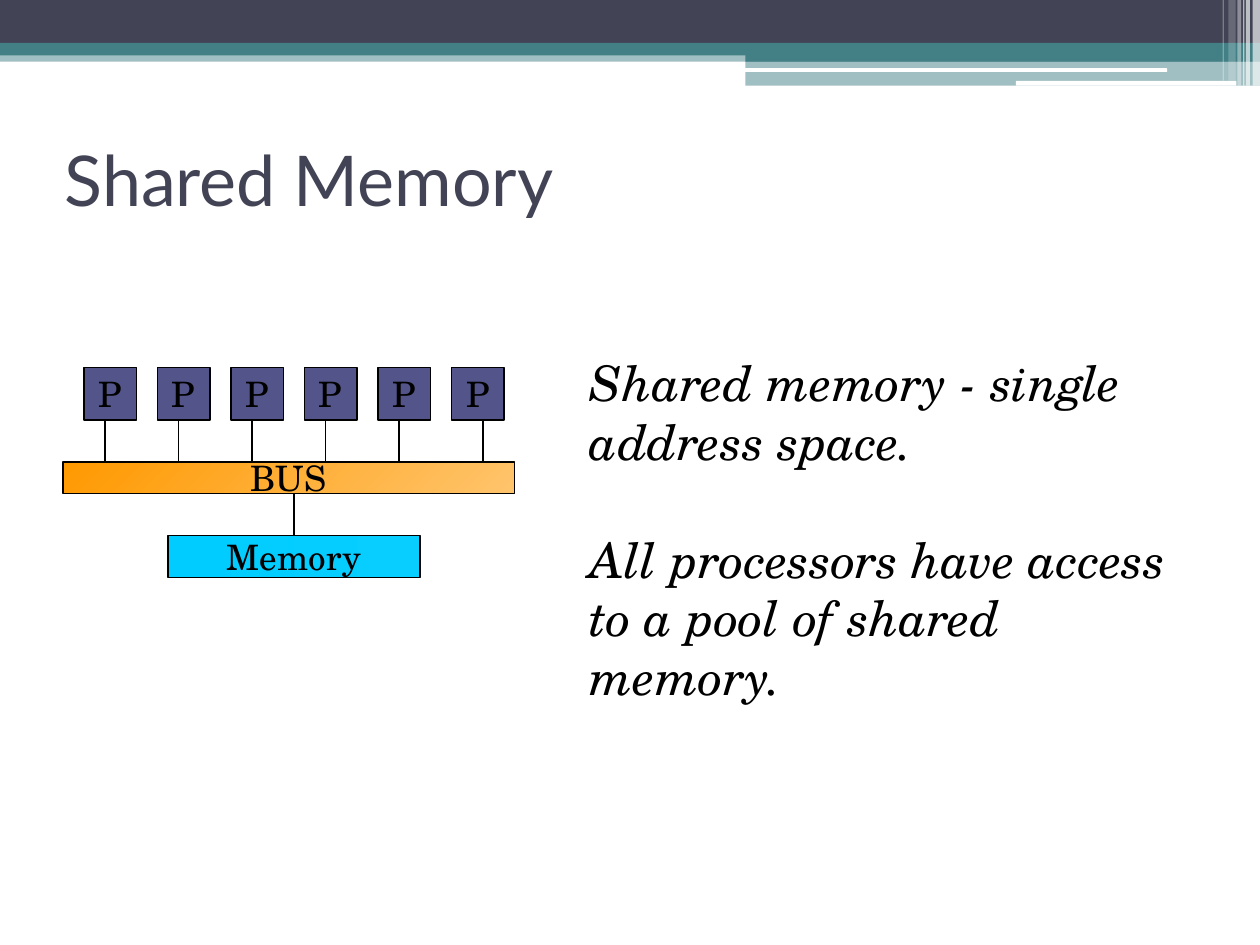
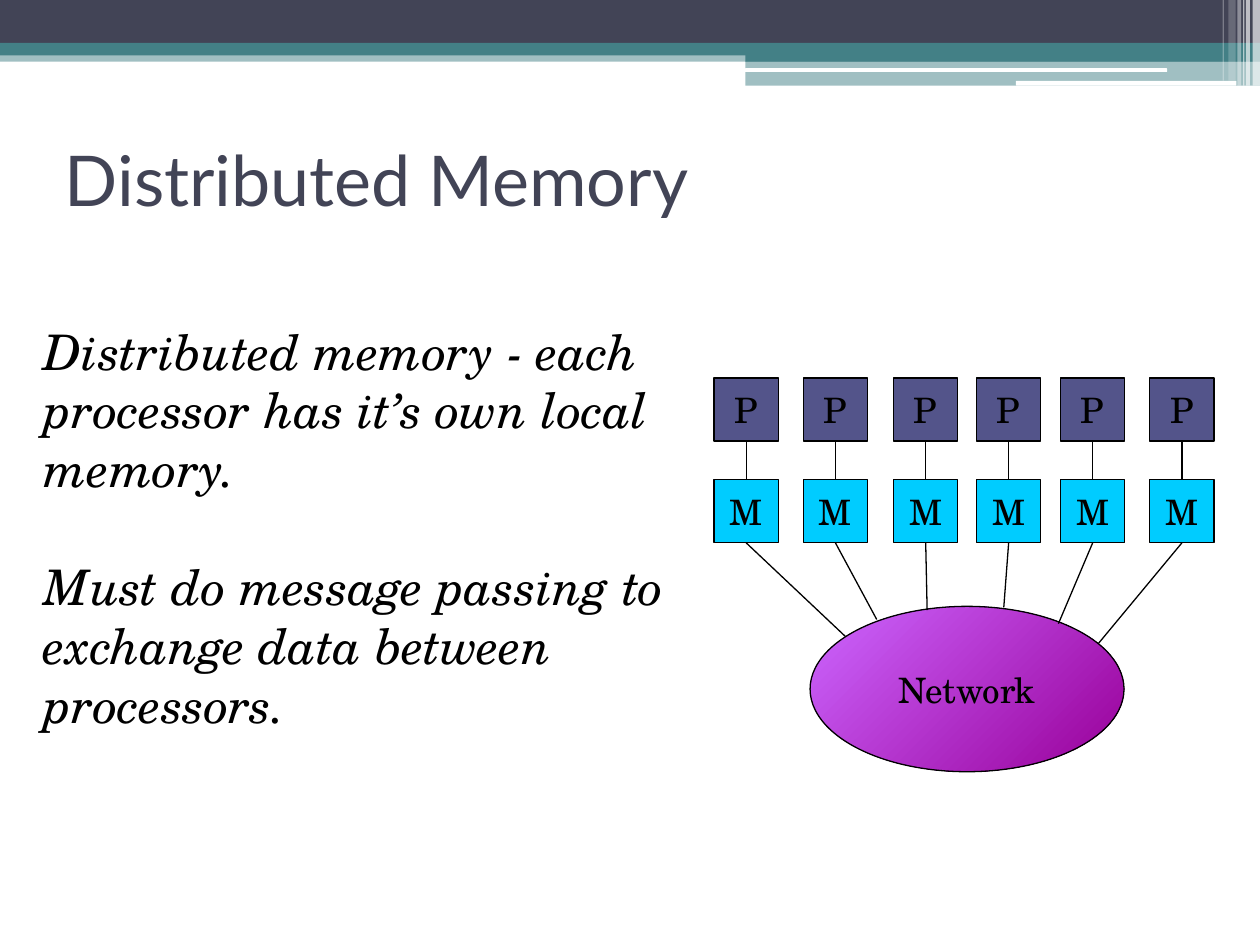
from dataclasses import dataclass

import pptx
import pptx.dml.color
import pptx.enum.shapes
import pptx.enum.text
import pptx.oxml.ns
import pptx.util
from lxml import etree

RECT = pptx.enum.shapes.MSO_SHAPE.RECTANGLE
ROUNDED = pptx.enum.shapes.MSO_SHAPE.ROUNDED_RECTANGLE
OVAL = pptx.enum.shapes.MSO_SHAPE.OVAL
MIDDLE = pptx.enum.text.MSO_ANCHOR.MIDDLE
CENTER = pptx.enum.text.PP_ALIGN.CENTER
TOP_SIDE, BOTTOM_SIDE = 0, 2
COLUMNS, ROWS = 120, 90
SLIDE_WIDTH = pptx.util.Inches(10)
SLIDE_HEIGHT = pptx.util.Inches(7.5)


@dataclass(frozen=True)
class Theme:
    navy: str = "424456"
    teal: str = "438086"
    white: str = "FFFFFF"
    ink: str = "000000"
    processor: str = "53548A"
    memory: str = "00CCFF"
    shared_memory: tuple = ("00CCFF", "08CEFF", 0)
    bus: tuple = ("FF9900", "FFC46C", 315)
    network: tuple = ("CC66FF", "990099", 315)
    title_font: str = "Lato"
    body_font: str = "TeX Gyre Schola"
    title_size: float = 40
    body_size: float = 28
    label_size: float = 20
    paragraph_gap: float = 33.6
    line_width: float = 0.75


THEME = Theme()

BANDS = (
    (RECT, (0, 4.8, 120, 1.08), THEME.teal, 50),
    (RECT, (0, 0, 120, 4.08), THEME.navy, 100),
    (RECT, (0, 4.08, 120, 1.2), THEME.teal, 100),
    (RECT, (71, 4.68, 49, 1.2), THEME.teal, 100),
    (RECT, (71, 5.8, 49, 2.36), THEME.teal, 50),
    (ROUNDED, (70.95, 6.5, 40.2, 0.36), THEME.white, 100),
    (ROUNDED, (96.75, 7.7, 21, 0.45), THEME.white, 100),
)
STRIPES = (
    (119.3, 0.7, 8.16, 65),
    (118.65, 0.4, 8.16, 65),
    (118.4, 0.12, 8.16, 60),
    (117.85, 0.36, 8.16, 40),
    (117, 0.7, 7.68, 20),
    (116.45, 0.12, 7.68, 30),
)


def across(columns):
    return round(SLIDE_WIDTH * columns / COLUMNS)


def down(rows):
    return round(SLIDE_HEIGHT * rows / ROWS)


def place(area):
    left, top, width, height = area
    return across(left), down(top), across(width), down(height)


def rgb(code):
    return pptx.dml.color.RGBColor.from_string(code)


def paint(fill, paint_spec):
    if isinstance(paint_spec, str):
        fill.solid()
        fill.fore_color.rgb = rgb(paint_spec)
        return
    start, end, angle = paint_spec
    fill.gradient()
    fill.gradient_angle = angle
    for stop, code in zip(fill.gradient_stops, (start, end)):
        stop.color.rgb = rgb(code)


def style_text(paragraph, font_name, size, color):
    paragraph.font.name = font_name
    paragraph.font.size = pptx.util.Pt(size)
    paragraph.font.color.rgb = rgb(color)


def add_band(slide, outline, area, color, opacity):
    band = slide.shapes.add_shape(outline, *place(area))
    band.shadow.inherit = False
    band.line.fill.background()
    paint(band.fill, color)
    if opacity < 100:
        tint = band.fill._xPr.find(".//" + pptx.oxml.ns.qn("a:srgbClr"))
        etree.SubElement(tint, pptx.oxml.ns.qn("a:alpha"), val=str(opacity * 1000))


def add_header(slide, title):
    for band in BANDS:
        add_band(slide, *band)
    for left, width, height, opacity in STRIPES:
        add_band(slide, RECT, (left, 0, width, height), THEME.white, opacity)
    heading = slide.shapes.add_textbox(*place((5, 10, 108, 14))).text_frame
    heading.word_wrap = True
    heading.vertical_anchor = MIDDLE
    heading.text = title
    style_text(heading.paragraphs[0], THEME.title_font, THEME.title_size, THEME.navy)


def add_explanation(slide, area, statements):
    frame = slide.shapes.add_textbox(*place(area)).text_frame
    frame.word_wrap = True
    frame.text = "\n".join(statements)
    for index, paragraph in enumerate(frame.paragraphs):
        style_text(paragraph, THEME.body_font, THEME.body_size, THEME.ink)
        paragraph.font.italic = True
        if index:
            paragraph.space_before = pptx.util.Pt(THEME.paragraph_gap)


def add_unit(slide, label, area, color, outline=RECT):
    unit = slide.shapes.add_shape(outline, *place(area))
    unit.shadow.inherit = False
    paint(unit.fill, color)
    unit.line.color.rgb = rgb(THEME.ink)
    unit.line.width = pptx.util.Pt(THEME.line_width)
    frame = unit.text_frame
    frame.word_wrap = False
    frame.vertical_anchor = MIDDLE
    frame.text = label
    frame.paragraphs[0].alignment = CENTER
    style_text(frame.paragraphs[0], THEME.body_font, THEME.label_size, THEME.ink)
    return unit


def add_link(slide, start, end, source=None, target=None):
    link = slide.shapes.add_connector(
        pptx.enum.shapes.MSO_CONNECTOR.STRAIGHT,
        across(start[0]), down(start[1]), across(end[0]), down(end[1]),
    )
    link.line.color.rgb = rgb(THEME.ink)
    link.line.width = pptx.util.Pt(THEME.line_width)
    etree.SubElement(link._element.spPr, pptx.oxml.ns.qn("a:effectLst"))
    if source is not None:
        link.begin_connect(source, BOTTOM_SIDE)
    if target is not None:
        link.end_connect(target, TOP_SIDE)


def build_shared_memory(slide):
    add_header(slide, "Shared Memory")
    first, pitch, size, row, bus_row = 8, 7, 5, 35, 44
    for index in range(6):
        add_unit(slide, "P", (first + pitch * index, row, size, size), THEME.processor)
    add_unit(slide, "BUS", (6, bus_row, 43, 3), THEME.bus)
    memory = add_unit(slide, "Memory", (16, 51, 24, 4), THEME.shared_memory)
    for column in (10, 17, 24, 31, 38, 46):
        add_link(slide, (column, row + size), (column, bus_row))
    add_link(slide, (28, bus_row + 3), (28, 51), target=memory)
    add_explanation(slide, (55, 33, 60.4, 35.2), (
        "Shared memory - single address space.",
        "All processors have access to a pool of shared memory.",
    ))


def build_distributed_memory(slide):
    add_header(slide, "Distributed Memory")
    add_explanation(slide, (3, 30, 62, 40.8), (
        "Distributed memory - each processor has it’s own local memory.",
        "Must do message passing to exchange data between processors.",
    ))
    add_unit(slide, "Network", (77.15, 57.75, 29.9, 15.75), THEME.network, OVAL)
    width, height, processor_row, memory_row = 6.13, 6, 36, 45.7
    node_columns = (68, 76.5, 85.1, 93, 101, 109.5)
    network_ports = (
        (80.5, 60.6), (83.5, 59), (88.3, 58.1),
        (95.6, 57.85), (100.8, 59.4), (104.6, 61.3),
    )
    for left, port in zip(node_columns, network_ports):
        center = left + width / 2
        processor = add_unit(slide, "P", (left, processor_row, width, height), THEME.processor)
        memory = add_unit(slide, "M", (left, memory_row, width, height), THEME.memory)
        add_link(slide, (center, processor_row + height), (center, memory_row), processor, memory)
        add_link(slide, (center, memory_row + height), port, memory)


def main():
    deck = pptx.Presentation()
    deck.slide_width, deck.slide_height = SLIDE_WIDTH, SLIDE_HEIGHT
    blank = deck.slide_layouts[6]
    for build in (build_shared_memory, build_distributed_memory):
        build(deck.slides.add_slide(blank))
    deck.save("out.pptx")


if __name__ == "__main__":
    main()
